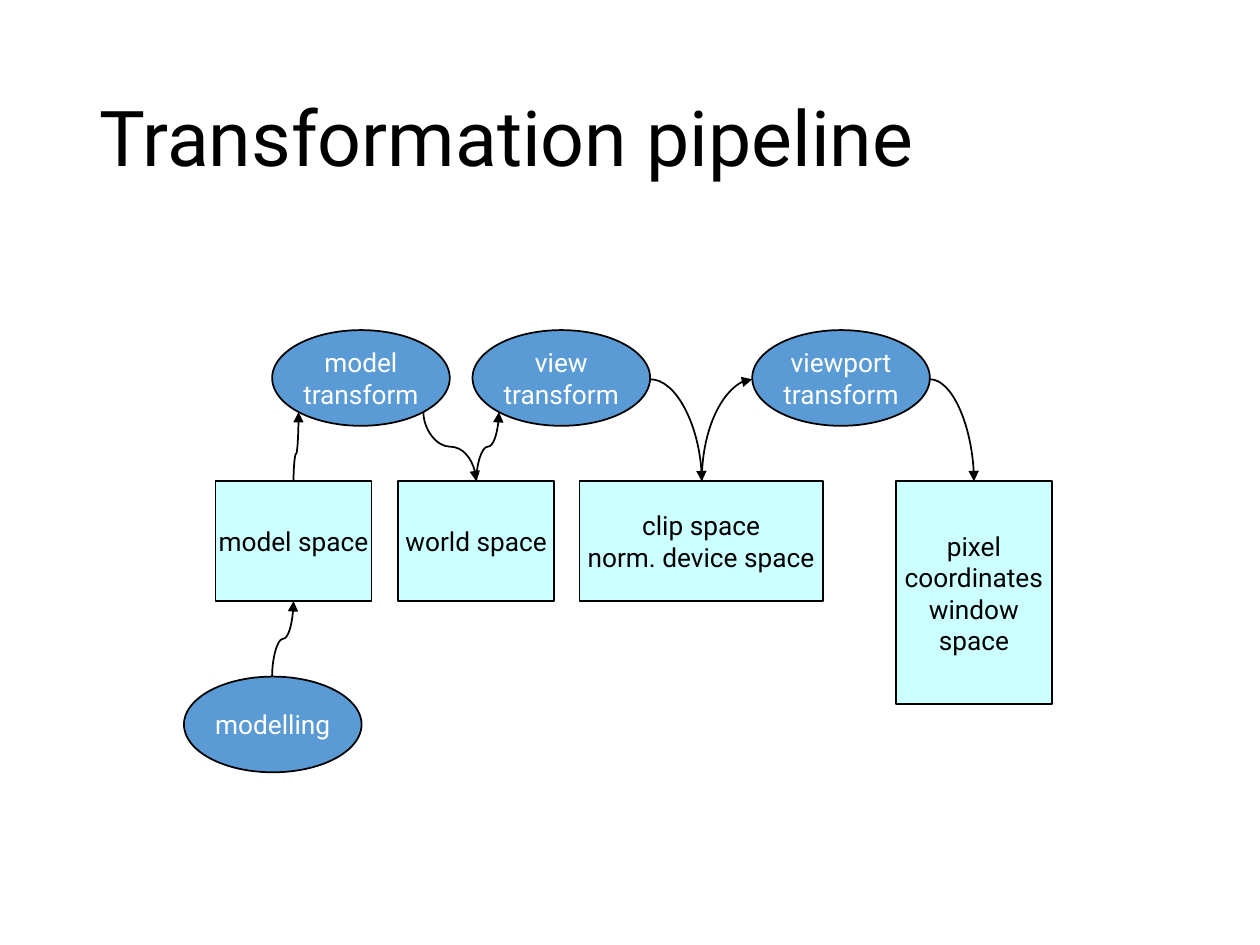
import pptx
import pptx.util
import pptx.dml.color
import pptx.enum.shapes
import pptx.enum.text
import pptx.oxml.ns
import lxml.etree

Inches = pptx.util.Inches
RGBColor = pptx.dml.color.RGBColor
BLACK = RGBColor(0x00, 0x00, 0x00)
WHITE = RGBColor(0xFF, 0xFF, 0xFF)
BLUE = RGBColor(0x5B, 0x9B, 0xD5)
CYAN = RGBColor(0xCC, 0xFF, 0xFF)
OVAL = pptx.enum.shapes.MSO_SHAPE.OVAL
RECTANGLE = pptx.enum.shapes.MSO_SHAPE.RECTANGLE


def format_text(shape, text, size, color, alignment):
    text_frame = shape.text_frame
    text_frame.text = text
    text_frame.vertical_anchor = pptx.enum.text.MSO_ANCHOR.MIDDLE
    for paragraph in text_frame.paragraphs:
        paragraph.alignment = alignment
        for run in paragraph.runs:
            run.font.name = "Roboto"
            run.font.size = pptx.util.Pt(size)
            run.font.color.rgb = color


def add_child(parent, tag, **attributes):
    return lxml.etree.SubElement(parent, pptx.oxml.ns.qn(tag), attributes)


presentation = pptx.Presentation()
presentation.slide_width = Inches(10)
presentation.slide_height = Inches(7.5)
slide = presentation.slides.add_slide(presentation.slide_layouts[6])

# Title
title = slide.shapes.add_textbox(Inches(0.69), Inches(0.4), Inches(8.62), Inches(1.45))
title.text_frame.word_wrap = True
format_text(title, "Transformation pipeline", 44, BLACK, pptx.enum.text.PP_ALIGN.LEFT)
title.text_frame.paragraphs[0].line_spacing = 0.9

# Transforms (ellipses) and spaces (boxes)
transforms = [
    (OVAL, BLUE, WHITE, left, top, 1.41, 0.76, text)
    for left, top, text in [
        (2.16, 2.62, "model\ntransform"),
        (3.75, 2.62, "view\ntransform"),
        (5.97, 2.62, "viewport\ntransform"),
        (1.46, 5.37, "modelling"),
    ]
]
spaces = [
    (RECTANGLE, CYAN, BLACK, left, 3.82, width, height, text)
    for left, width, height, text in [
        (1.71, 1.24, 0.95, "model space"),
        (3.16, 1.24, 0.95, "world space"),
        (4.6, 1.93, 0.95, "clip space\nnorm. device space"),
        (7.11, 1.24, 1.77, "pixel\ncoordinates\nwindow\nspace"),
    ]
]
for kind, fill, color, left, top, width, height, text in transforms + spaces:
    shape = slide.shapes.add_shape(
        kind, Inches(left), Inches(top), Inches(width), Inches(height))
    shape.shadow.inherit = False
    shape.fill.solid()
    shape.fill.fore_color.rgb = fill
    shape.line.color.rgb = BLACK
    shape.line.width = pptx.util.Pt(1)
    shape.text_frame.word_wrap = False
    format_text(shape, text, 15, color, pptx.enum.text.PP_ALIGN.CENTER)

# Curved arrows: start, end, starts vertically, preset, bend position
S_CURVE, ARC = "curvedConnector3", "curvedConnector2"
arrows = [
    (2.16, 5.37, 2.33, 4.77, True, S_CURVE, 50000),
    (2.33, 3.82, 2.37, 3.27, True, S_CURVE, 39800),
    (3.36, 3.27, 3.78, 3.82, True, S_CURVE, 50000),
    (3.78, 3.82, 3.96, 3.27, True, S_CURVE, 50000),
    (5.16, 3.01, 5.57, 3.82, False, ARC, None),
    (5.57, 3.82, 5.97, 3.01, True, ARC, None),
    (7.38, 3.01, 7.73, 3.82, False, ARC, None),
]
for x1, y1, x2, y2, vertical, preset, bend in arrows:
    width, height = x2 - x1, abs(y2 - y1)
    if vertical:  # the frame is turned by 270 degrees about its centre
        width, height = height, width
    left, top = (x1 + x2 - width) / 2, (y1 + y2 - height) / 2
    connector = slide.shapes.add_connector(
        pptx.enum.shapes.MSO_CONNECTOR.CURVE,
        Inches(left), Inches(top), Inches(left + width), Inches(top + height))
    properties = connector._element.spPr
    if vertical:
        properties.xfrm.set("rot", str(270 * 60000))
        if y2 > y1:
            properties.xfrm.set("flipH", "1")
    geometry = properties.find(pptx.oxml.ns.qn("a:prstGeom"))
    geometry.set("prst", preset)
    if bend:
        adjustments = geometry.find(pptx.oxml.ns.qn("a:avLst"))
        add_child(adjustments, "a:gd", name="adj1", fmla=f"val {bend}")
    connector.line.color.rgb = BLACK
    connector.line.width = pptx.util.Pt(1)
    add_child(connector.line._get_or_add_ln(), "a:tailEnd", type="triangle")
    add_child(properties, "a:effectLst")

presentation.save("out.pptx")
